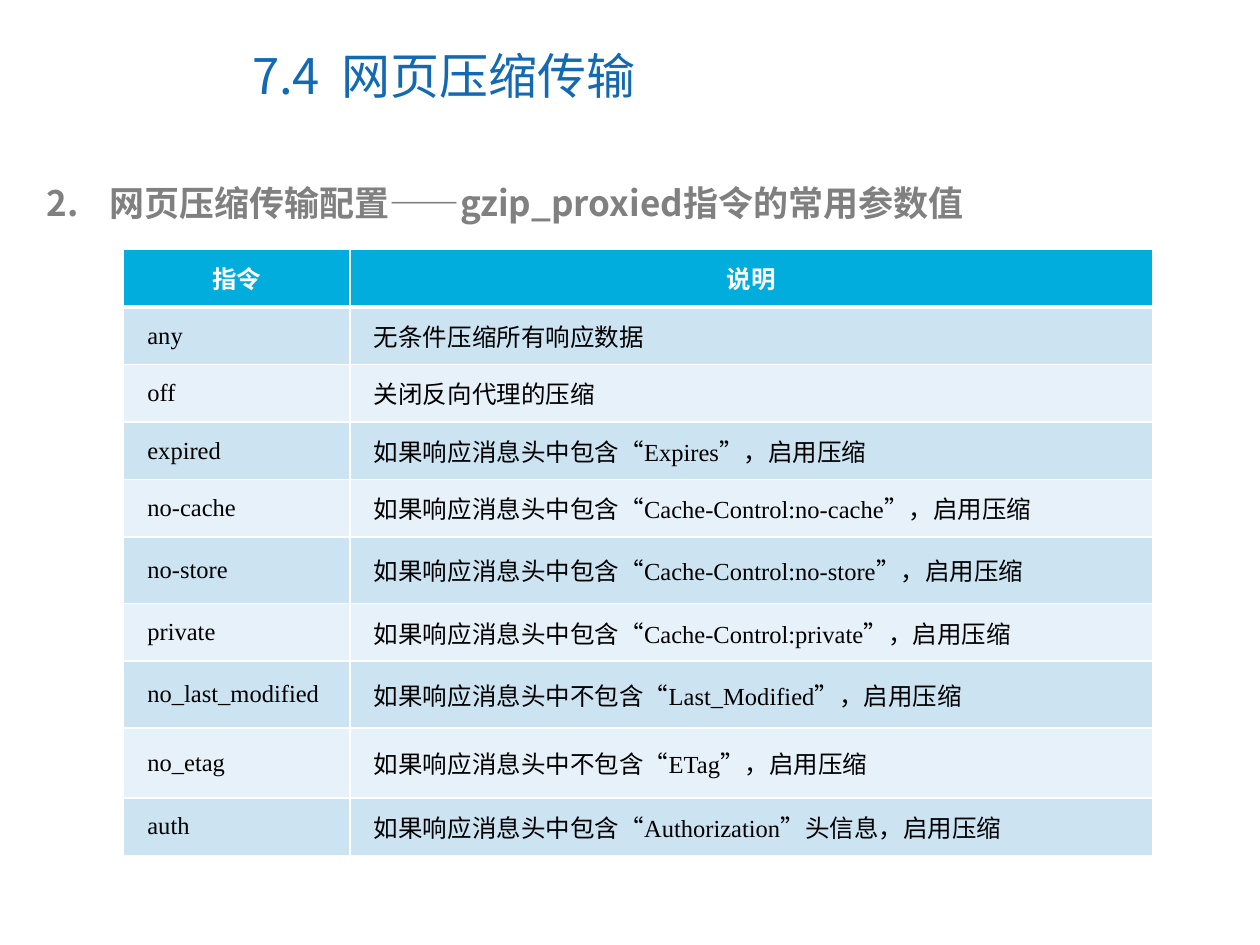
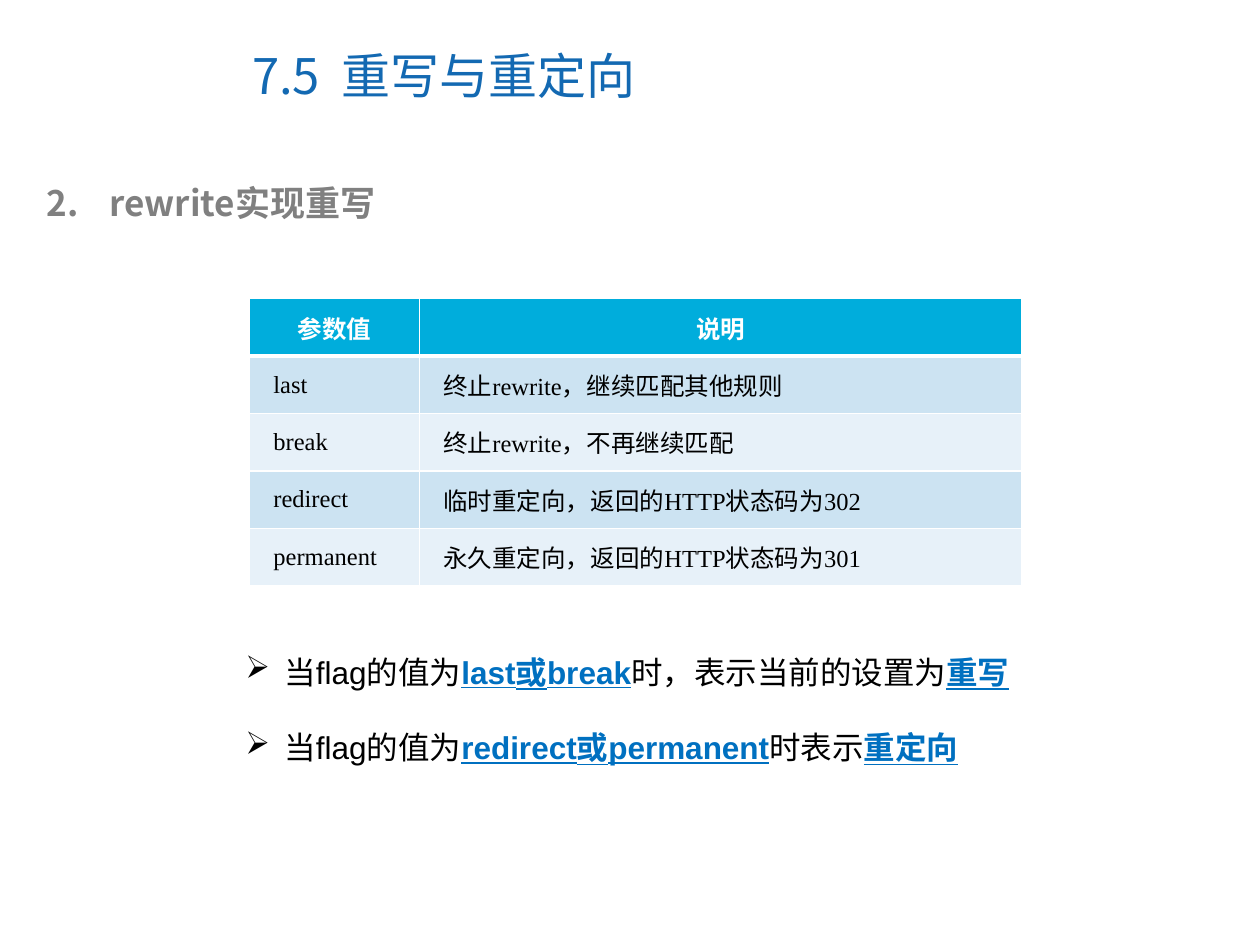
import dataclasses
import pptx
import pptx.dml.color
import pptx.enum.text
import pptx.oxml.ns
import pptx.util
from lxml import etree

ALIGN = pptx.enum.text.PP_ALIGN
MIDDLE = pptx.enum.text.MSO_ANCHOR.MIDDLE
FIT = pptx.enum.text.MSO_AUTO_SIZE
qn = pptx.oxml.ns.qn


@dataclasses.dataclass(frozen=True)
class Theme:
    """Colours, fonts and type sizes of the deck."""
    title: str = "1369B2"
    topic: str = "808080"
    head: str = "00ADDC"
    bands: tuple = ("CCE3F2", "E7F1F9")
    white: str = "FFFFFF"
    ink: str = "000000"
    mark: str = "0070C0"
    sans: str = "Noto Sans CJK SC"
    serif: str = "Times New Roman"
    plain: str = "Arial"
    title_size: int = 28
    topic_size: int = 20
    cell_size: int = 14
    note_size: int = 18


THEME = Theme()
GRID = pptx.util.Inches(0.1)
TITLE = (19, 1.7, 56.7, 8.5)
TOPIC = (2.7, 13.9, 92.2, 4.4)

PROXY = [
    ("指令", "说明"),
    ("any", "无条件压缩所有响应数据"),
    ("off", "关闭反向代理的压缩"),
    ("expired", "如果响应消息头中包含“Expires”，启用压缩"),
    ("no-cache", "如果响应消息头中包含“Cache-Control:no-cache”，启用压缩"),
    ("no-store", "如果响应消息头中包含“Cache-Control:no-store”，启用压缩"),
    ("private", "如果响应消息头中包含“Cache-Control:private”，启用压缩"),
    ("no_last_modified", "如果响应消息头中不包含“Last_Modified”，启用压缩"),
    ("no_etag", "如果响应消息头中不包含“ETag”，启用压缩"),
    ("auth", "如果响应消息头中包含“Authorization”头信息，启用压缩"),
]
FLAGS = [
    ("参数值", "说明"),
    ("last", "终止rewrite，继续匹配其他规则"),
    ("break", "终止rewrite，不再继续匹配"),
    ("redirect", "临时重定向，返回的HTTP状态码为302"),
    ("permanent", "永久重定向，返回的HTTP状态码为301"),
]
NOTES = [
    ("当flag的值为", "last或break", "时，表示当前的设置为", "重写"),
    ("当flag的值为", "redirect或permanent", "时表示", "重定向"),
]


def place(box):
    """Turn a box in grid columns and rows into lengths."""
    return [round(part * GRID) for part in box]


def paint(fill, tone):
    """Give a fill one solid colour."""
    fill.solid()
    fill.fore_color.rgb = pptx.dml.color.RGBColor.from_string(tone)


def write(para, text, size, face, tone, bold=False, line=False):
    """Add one formatted run and return its properties."""
    run = para.add_run()
    run.text = text
    font = run.font
    font.size = pptx.util.Pt(size)
    font.name = face
    font.bold = bold
    font.underline = line
    paint(font.fill, tone)
    props = run._r.get_or_add_rPr()
    props.set("lang", "zh-CN")
    east = etree.Element(qn("a:ea"), typeface=THEME.sans)
    props.find(qn("a:latin")).addnext(east)
    return props


def indent(para, left, first=0):
    """Set the left margin and first-line indent, in inches."""
    props = para._p.get_or_add_pPr()
    props.set("marL", str(pptx.util.Inches(left)))
    props.set("indent", str(pptx.util.Inches(first)))
    return props


def add_box(slide, box):
    """Add a wrapping text box and return its frame."""
    frame = slide.shapes.add_textbox(*place(box)).text_frame
    frame.word_wrap = True
    frame.auto_size = FIT.SHAPE_TO_FIT_TEXT
    return frame


def add_title(slide, box, number, name):
    """Move and fill the title, widening the gap after its number."""
    shape = slide.shapes.title
    shape.left, shape.top, shape.width, shape.height = place(box)
    frame = shape.text_frame
    frame.auto_size = FIT.NONE
    frame.vertical_anchor = MIDDLE
    para = frame.paragraphs[0]
    para.alignment = ALIGN.LEFT
    style = (THEME.title_size, THEME.sans, THEME.title)
    write(para, number, *style)
    write(para, " ", *style).set("spc", "600")
    write(para, name, *style)


def add_topic(slide, box, text):
    """Add the numbered topic line below the title."""
    para = add_box(slide, box).paragraphs[0]
    props = indent(para, 0.5, -0.5)
    etree.SubElement(props, qn("a:buAutoNum"), type="arabicPeriod", startAt="2")
    write(para, text, THEME.topic_size, THEME.sans, THEME.topic, True)


def edge(cell, row):
    """Draw white cell borders, heavy between head and body."""
    props = cell._tc.get_or_add_tcPr()
    heavy = {0: "lnB", 1: "lnT"}.get(row)
    for spot, side in enumerate(("lnL", "lnR", "lnT", "lnB")):
        width = pptx.util.Pt(3 if side == heavy else 1)
        line = etree.Element(qn("a:" + side), w=str(width))
        fill = etree.SubElement(line, qn("a:solidFill"))
        etree.SubElement(fill, qn("a:srgbClr"), val=THEME.white)
        props.insert(spot, line)


def fill_cell(cell, row, col, text):
    """Format and fill one cell by its row and column."""
    cell.margin_left = cell.margin_right = pptx.util.Inches(0.07)
    cell.margin_top = cell.margin_bottom = 0
    cell.vertical_anchor = MIDDLE
    para = cell.text_frame.paragraphs[0]
    if row == 0:
        paint(cell.fill, THEME.head)
        para.alignment = ALIGN.CENTER
        face = THEME.plain if col else THEME.serif
        write(para, text, THEME.cell_size, face, THEME.white, True)
    else:
        paint(cell.fill, THEME.bands[(row - 1) % 2])
        para.alignment = ALIGN.JUSTIFY
        indent(para, 0.12)
        write(para, text, THEME.cell_size, THEME.serif, THEME.ink)
    edge(cell, row)


def add_grid(slide, box, data, split, tall=None):
    """Add a two-column table, sharing its height by row weight."""
    left, top, width, height = place(box)
    table = slide.shapes.add_table(len(data), 2, left, top, width, height).table
    table.columns[0].width = round(width * split)
    table.columns[1].width = width - table.columns[0].width
    weights = [(tall or {}).get(row, 1) for row in range(len(data))]
    for row, pair in enumerate(data):
        table.rows[row].height = round(height * weights[row] / sum(weights))
        for col, text in enumerate(pair):
            fill_cell(table.cell(row, col), row, col, text)


def add_notes(slide, box, notes):
    """Add arrow bullets whose every second part is marked."""
    frame = add_box(slide, box)
    for spot, parts in enumerate(notes):
        para = frame.add_paragraph() if spot else frame.paragraphs[0]
        para.line_spacing = 2.0
        etree.SubElement(indent(para, 0.31, -0.31), qn("a:buChar"), char="➢")
        for turn, text in enumerate(parts):
            mark = turn % 2 == 1
            tone = THEME.mark if mark else THEME.ink
            write(para, text, THEME.note_size, THEME.plain, tone, mark, mark)


def add_page(deck, number, name, topic):
    """Add a slide with its title and topic line."""
    slide = deck.slides.add_slide(deck.slide_layouts[5])
    add_title(slide, TITLE, number, name)
    add_topic(slide, TOPIC, topic)
    return slide


def main():
    """Build both slides and save the deck."""
    deck = pptx.Presentation()
    deck.slide_width, deck.slide_height = place((100, 75))
    page = add_page(deck, "7.4", "网页压缩传输",
                    "网页压缩传输配置——gzip_proxied指令的常用参数值")
    add_grid(page, (9.8, 19.8, 81.7, 48.1), PROXY, 0.22,
             {5: 1.16, 7: 1.16, 8: 1.22})
    page = add_page(deck, "7.5", "重写与重定向", "rewrite实现重写")
    add_grid(page, (19.8, 23.7, 61.3, 22.8), FLAGS, 0.22)
    add_notes(page, (18.5, 48.3, 64.7, 13.1), NOTES)
    deck.save("out.pptx")


if __name__ == "__main__":
    main()
